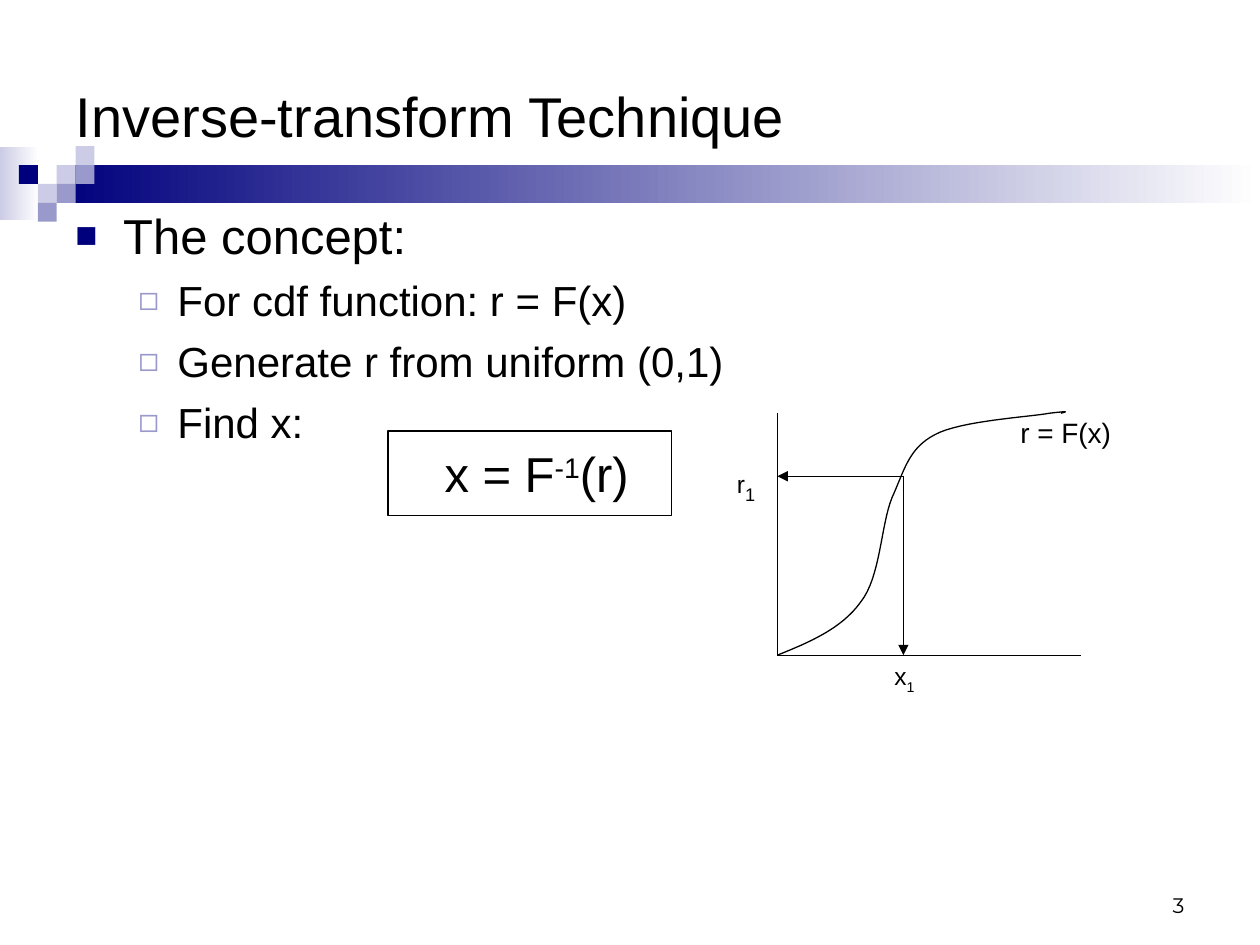
from lxml import etree
from pptx import Presentation
from pptx.dml.color import RGBColor
from pptx.enum.shapes import MSO_CONNECTOR, MSO_SHAPE
from pptx.enum.text import MSO_ANCHOR, PP_ALIGN
from pptx.oxml.ns import qn
from pptx.util import Inches, Pt

RECTANGLE, STRAIGHT = MSO_SHAPE.RECTANGLE, MSO_CONNECTOR.STRAIGHT
TOP, MIDDLE, BOTTOM = MSO_ANCHOR.TOP, MSO_ANCHOR.MIDDLE, MSO_ANCHOR.BOTTOM
LEFT, CENTER, RIGHT = PP_ALIGN.LEFT, PP_ALIGN.CENTER, PP_ALIGN.RIGHT
NAVY = RGBColor(0x00, 0x00, 0x7D)
LAVENDER = RGBColor(0x99, 0x99, 0xCC)
PALE = RGBColor(0xCC, 0xCC, 0xE6)
WHITE = RGBColor(0xFF, 0xFF, 0xFF)
BLACK = RGBColor(0x00, 0x00, 0x00)
CELL = 0.15
GRID_TOP = 1.16


def add_run(paragraph, text, size, baseline=0, font="Arial"):
    run = paragraph.add_run()
    run.text = text
    run.font.name = font
    run.font.size = Pt(size)
    run.font.color.rgb = BLACK
    if baseline:
        run._r.get_or_add_rPr().set("baseline", str(baseline * 1000))


def add_rectangle(left, top, width, height):
    shape = slide.shapes.add_shape(
        RECTANGLE, Inches(left), Inches(top), Inches(width), Inches(height))
    shape.shadow.inherit = False
    shape.line.fill.background()
    return shape


presentation = Presentation()
presentation.slide_width = Inches(10)
presentation.slide_height = Inches(7.5)
slide = presentation.slides.add_slide(presentation.slide_layouts[5])

# Gradient bands and the squares over them
for left, top, width, height, color in [
        (0, 1.17, 0.31, 0.58, PALE), (3 * CELL, GRID_TOP + CELL, 9.55, 2 * CELL, NAVY)]:
    band = add_rectangle(left, top, width, height)
    band.fill.gradient()
    band.fill.gradient_angle = 0
    for stop, position, stop_color in zip(band.fill.gradient_stops, (0, 1), (color, WHITE)):
        stop.position = position
        stop.color.rgb = stop_color

for column, row, color in [(3, 1, PALE), (4, 0, PALE), (4, 1, LAVENDER), (2, 2, PALE),
                           (1, 1, NAVY), (3, 2, LAVENDER), (2, 3, LAVENDER)]:
    square = add_rectangle(column * CELL, GRID_TOP + row * CELL, CELL, CELL)
    square.fill.solid()
    square.fill.fore_color.rgb = color

# Title
title = slide.shapes.title
title.left, title.top, title.width, title.height = map(Inches, (0.5, 0.5, 9, 0.83))
title.text_frame.vertical_anchor = MIDDLE
title_paragraph = title.text_frame.paragraphs[0]
title_paragraph.alignment = LEFT
add_run(title_paragraph, "Inverse-transform Technique", 32)

# Bulleted text
body = slide.shapes.add_textbox(Inches(0.5), Inches(1.58), Inches(9), Inches(4.83))
body.text_frame.word_wrap = True
main_level = (0, 0.38, 0.38, 28, 7, "■", NAVY, 75)
sub_level = (1, 0.81, 0.31, 24, 6, "◻", LAVENDER, 80)
for index, (text, style) in enumerate([
        ("The concept:", main_level),
        ("For cdf function: r = F(x)", sub_level),
        ("Generate r from uniform (0,1)", sub_level),
        ("Find x:", sub_level)]):
    level, margin, hanging, size, space, bullet, bullet_color, bullet_size = style
    frame = body.text_frame
    paragraph = frame.add_paragraph() if index else frame.paragraphs[0]
    paragraph.level = level
    paragraph.space_before = Pt(space)
    add_run(paragraph, text, size)
    properties = paragraph._p.get_or_add_pPr()
    properties.set("marL", str(Inches(margin)))
    properties.set("indent", str(-Inches(hanging)))
    color_element = etree.SubElement(properties, qn("a:buClr"))
    etree.SubElement(color_element, qn("a:srgbClr"), val=str(bullet_color))
    etree.SubElement(properties, qn("a:buSzPct"), val=str(bullet_size * 1000))
    etree.SubElement(properties, qn("a:buFont"), typeface="Arial")
    etree.SubElement(properties, qn("a:buChar"), char=bullet)

# Boxed equation
equation = add_rectangle(3.08, 3.42, 2.25, 0.67)
equation.fill.background()
equation.line.color.rgb = BLACK
equation.line.width = Pt(0.75)
equation.text_frame.word_wrap = False
equation.text_frame.vertical_anchor = MIDDLE
equation_paragraph = equation.text_frame.paragraphs[0]
equation_paragraph.alignment = CENTER
for text, baseline in [(" x = F", 0), ("-1", 30), ("(r)", 0)]:
    add_run(equation_paragraph, text, 28, baseline)

# Axes and the arrows through the point (x1, r1)
origin_x, origin_y, point_x, point_y = 6.17, 5.2, 7.17, 3.78
for x1, y1, x2, y2, has_arrow in [
        (origin_x, 3.28, origin_x, origin_y, False),
        (origin_x, origin_y, 8.58, origin_y, False),
        (point_x, point_y, origin_x, point_y, True),
        (point_x, point_y, point_x, origin_y, True)]:
    connector = slide.shapes.add_connector(
        STRAIGHT, Inches(x1), Inches(y1), Inches(x2), Inches(y2))
    connector.line.color.rgb = BLACK
    connector.line.width = Pt(0.75)
    if has_arrow:
        etree.SubElement(connector.line._get_or_add_ln(), qn("a:tailEnd"), type="triangle")
    etree.SubElement(connector._element.spPr, qn("a:effectLst"))

# Labels and the slide number
for left, top, width, height, space, alignment, anchor, runs in [
        (5.75, 3.62, 0.42, 0.44, 11.2, LEFT, TOP, [("r", 14, 0), ("1", 18, -25)]),
        (7, 5.2, 0.5, 0.37, 8.8, LEFT, TOP, [("x", 14, 0), ("1", 14, -25)]),
        (8, 3.25, 1.08, 0.37, 10, LEFT, TOP, [("r = F(x)", 16, 0)]),
        (7.17, 6.83, 2.33, 0.5, 0, RIGHT, BOTTOM, [("3", 12, 0, "Montserrat")])]:
    label = slide.shapes.add_textbox(Inches(left), Inches(top), Inches(width), Inches(height))
    label.text_frame.word_wrap = True
    label.text_frame.vertical_anchor = anchor
    paragraph = label.text_frame.paragraphs[0]
    paragraph.alignment = alignment
    paragraph.space_before = Pt(space)
    for run in runs:
        add_run(paragraph, *run)

# Distribution curve, sampled from cubic Bezier segments
STEPS = 16
start = (origin_x, origin_y)
curve_points = []
for controls in [((6.42, 5.1), (6.68, 4.99), (6.83, 4.78)),
                 ((6.99, 4.58), (6.99, 4.17), (7.08, 3.95)),
                 ((7.18, 3.73), (7.21, 3.56), (7.42, 3.45)),
                 ((7.62, 3.34), (8.17, 3.31), (8.33, 3.28)),
                 ((8.5, 3.26), (8.46, 3.27), (8.42, 3.28))]:
    knots = (start, *controls)
    for step in range(1, STEPS + 1):
        t = step / STEPS
        weights = ((1 - t) ** 3, 3 * t * (1 - t) ** 2, 3 * t ** 2 * (1 - t), t ** 3)
        curve_points.append(tuple(
            Inches(sum(weight * knot[axis] for weight, knot in zip(weights, knots)))
            for axis in (0, 1)))
    start = controls[-1]
builder = slide.shapes.build_freeform(Inches(origin_x), Inches(origin_y))
builder.add_line_segments(curve_points, close=False)
curve = builder.convert_to_shape()
curve.shadow.inherit = False
curve.fill.background()
curve.line.color.rgb = BLACK
curve.line.width = Pt(0.75)

presentation.save("out.pptx")
